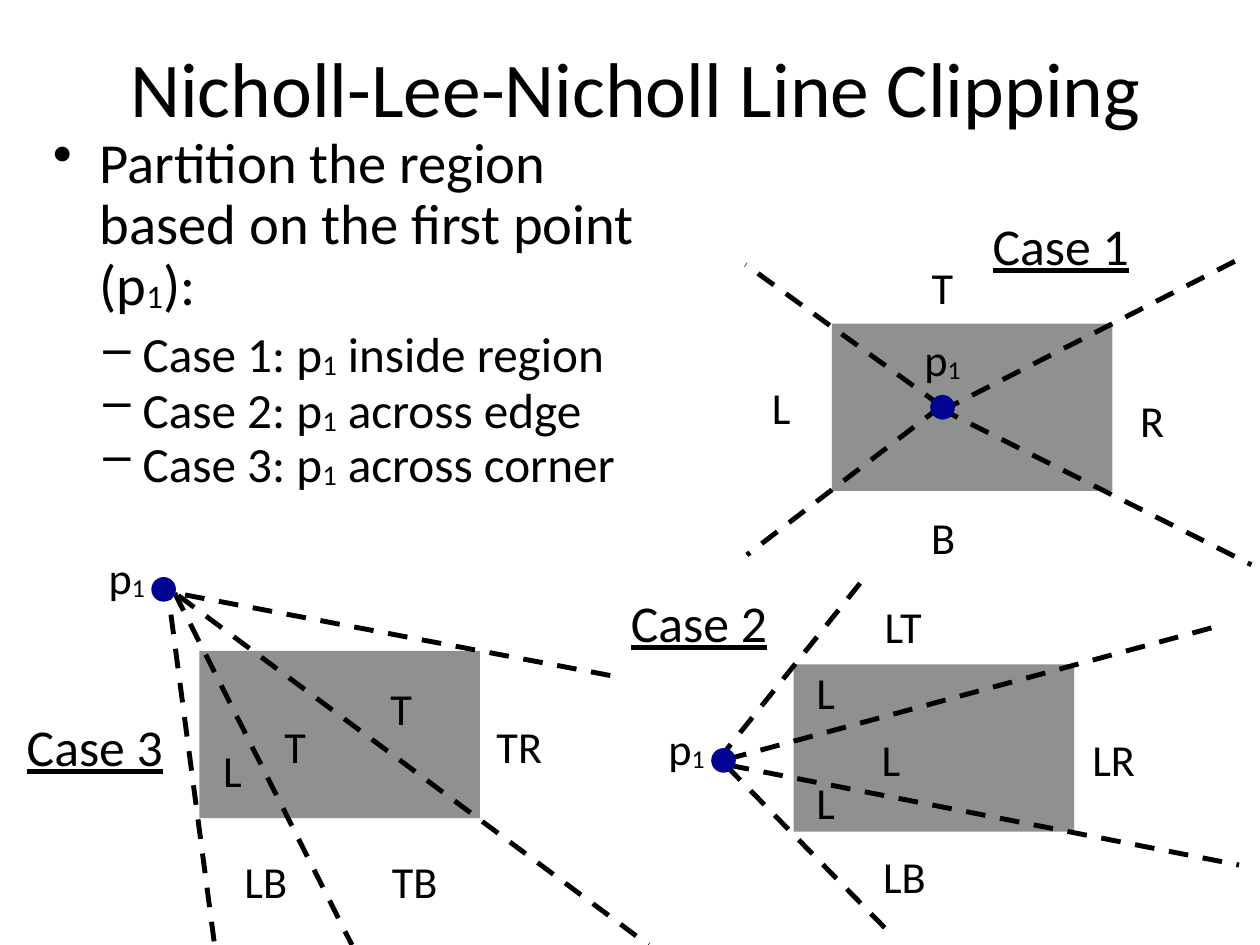
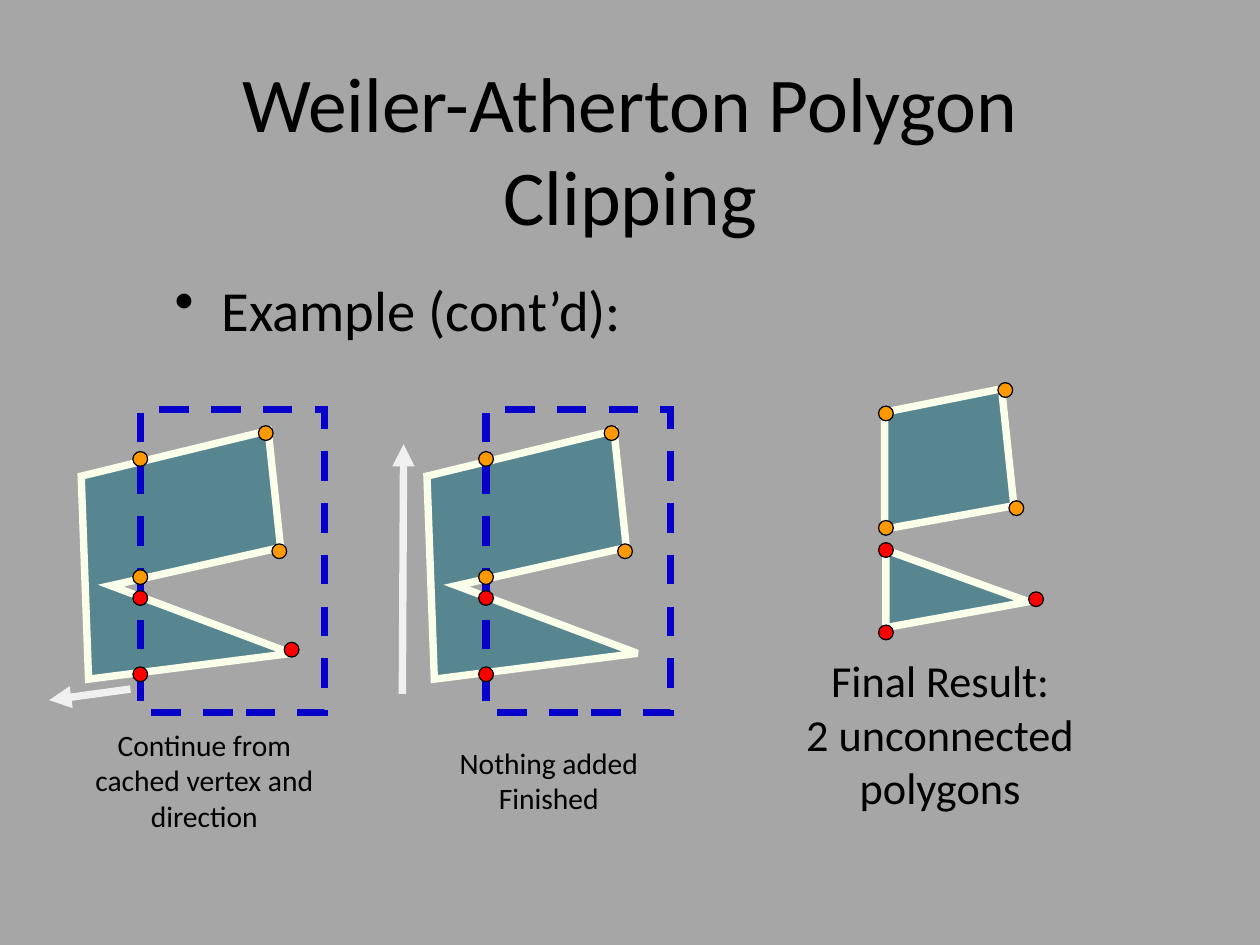
from lxml import etree
from pptx import Presentation
from pptx.dml.color import RGBColor
from pptx.enum.dml import MSO_LINE
from pptx.enum.shapes import MSO_CONNECTOR, MSO_SHAPE
from pptx.enum.text import MSO_ANCHOR, MSO_AUTO_SIZE, PP_ALIGN
from pptx.oxml.ns import qn
from pptx.util import Pt

# Shared style
FONT = "Calibri"
BLACK = RGBColor(0x00, 0x00, 0x00)
WHITE = RGBColor(0xFF, 0xFF, 0xFF)
GREY = RGBColor(0xA6, 0xA6, 0xA6)
REGION = RGBColor(0x8F, 0x91, 0x8E)
NAVY = RGBColor(0x00, 0x02, 0x91)
BLUE = RGBColor(0x07, 0x00, 0xCB)
TEAL = RGBColor(0x57, 0x86, 0x91)
IVORY = RGBColor(0xF9, 0xFF, 0xE8)
PALE = RGBColor(0xF0, 0xF0, 0xF0)
ORANGE = RGBColor(0xFF, 0x99, 0x00)
RED = RGBColor(0xFF, 0x00, 0x00)
TITLE_SIZE, LABEL_SIZE, CASE_SIZE, CAPTION_SIZE = 63, 36, 42, 24

# Bullet levels: character, size, left margin, hanging indent, space before
LEVELS = [("•", 46, 70, -38, 11.5), ("–", 40, 105, -32, 10)]

# Slide 1 content; text after a bar is a subscript, up to the next bar
PARTITION = [  # level, line spacing, text
    (0, 0.9, "Partition the region based on the first point (p|1|):"),
    (1, 0.9, "Case 1: p|1| inside region"),
    (1, 0.7, "Case 2: p|1| across edge"),
    (1, 0.7, "Case 3: p|1| across corner"),
]
REGION_SIZE = (228, 136)
CASES = [
    dict(name=("Case 1", 862, 199), region=(676, 263), point=(766, 331),
         rays=[(764, 332, 1017, 459), (765, 334, 1014, 207),
               (765, 330, 607, 451), (765, 330, 606, 215)],
         labels=[("L", 635, 331), ("T", 766, 233), ("R", 936, 341),
                 ("B", 766, 436), ("p|1", 766, 292)]),
    dict(name=("Case 2", 568, 505), region=(645, 540), point=(588, 618),
         rays=[(593, 622, 1007, 703), (591, 617, 993, 508),
               (719, 754, 586, 618), (699, 474, 585, 616)],
         labels=[("L", 724, 617), ("LT", 734, 509), ("LR", 905, 617),
                 ("LB", 735, 712), ("p|1", 558, 608), ("L", 671, 652),
                 ("L", 671, 562)]),
    dict(name=("Case 3", 77, 606), region=(162, 529), point=(133, 479),
         rays=[(145, 484, 527, 768), (142, 482, 286, 768),
               (174, 765, 137, 485), (496, 549, 132, 480)],
         labels=[("T", 240, 606), ("T", 326, 575), ("TR", 422, 606),
                 ("LB", 216, 716), ("p|1", 103, 469), ("L", 189, 626),
                 ("TB", 337, 716)]),
]

# Slide 2 content
SUBJECT = [(66, 387), (218, 350), (228, 445), (90, 476), (237, 531), (72, 552)]
WINDOW = (114, 333, 150, 246)
OUTER_VERTICES = [(114, 373), (216, 352), (227, 448), (114, 469)]
INNER_VERTICES = [(114, 486), (114, 548)]
LAST_VERTEX = (237, 528)
STEPS = [  # shift to the right, arrow, red vertices, caption
    (0, (106, 560, 40, 569), INNER_VERTICES + [LAST_VERTEX],
     ("Continue from\ncached vertex and\ndirection", 166, 634)),
    (281, (327, 564, 328, 361), INNER_VERTICES,
     ("Nothing added\nFinished", 446, 634)),
]
RESULTS = [  # outline, vertex colour, vertices
    ([(719, 430), (719, 335), (814, 316), (824, 411)], ORANGE,
     [(720, 336), (817, 317), (826, 413), (720, 429)]),
    ([(720, 510), (720, 447), (836, 489)], RED,
     [(720, 447), (842, 487), (720, 514)]),
]
RESULT_CAPTION = ("Final Result:\n2 unconnected\npolygons", 764, 596)


def write(p, text, size, underline=None):
    """Fill a paragraph, lowering every second part between bars."""
    for i, part in enumerate(text.split("|")):
        r = p.add_run()
        r.text = part
        r.font.name, r.font.size = FONT, Pt(size)
        r.font.color.rgb = BLACK
        r.font.underline = underline
        if i % 2:
            r.font._element.set("baseline", "-6000")


def set_margins(tf, across, down):
    tf.margin_left = tf.margin_right = Pt(across)
    tf.margin_top = tf.margin_bottom = Pt(down)


def new_slide(prs, back, title, box):
    s = prs.slides.add_slide(prs.slide_layouts[5])
    s.background.fill.solid()
    s.background.fill.fore_color.rgb = back
    sp = s.shapes.title
    sp.left, sp.top, sp.width, sp.height = map(Pt, box)
    tf = sp.text_frame
    tf.auto_size = MSO_AUTO_SIZE.NONE
    tf.vertical_anchor = MSO_ANCHOR.MIDDLE
    set_margins(tf, 10, 5)
    p = tf.paragraphs[0]
    p.alignment = PP_ALIGN.CENTER
    write(p, title, TITLE_SIZE)
    return s


def add_bullets(s, items, box):
    tf = s.shapes.add_textbox(*map(Pt, box)).text_frame
    tf.word_wrap = True
    set_margins(tf, 10, 5)
    for i, (level, spacing, text) in enumerate(items):
        char, size, margin, indent, before = LEVELS[level]
        p = tf.add_paragraph() if i else tf.paragraphs[0]
        pPr = p._p.get_or_add_pPr()
        pPr.set("marL", str(Pt(margin)))
        pPr.set("indent", str(Pt(indent)))
        etree.SubElement(pPr, qn("a:buChar")).set("char", char)
        p.level = level
        p.line_spacing = spacing
        if i:
            p.space_before = Pt(before)
        write(p, text, size)


def add_label(s, text, cx, cy, size=LABEL_SIZE, underline=None):
    """Centre unwrapped lines of text on a point."""
    lines = text.split("\n")
    w = 0.52 * size * max(map(len, lines))
    h = 1.2 * size * len(lines)
    tf = s.shapes.add_textbox(Pt(cx - w / 2), Pt(cy - h / 2), Pt(w), Pt(h)).text_frame
    tf.word_wrap = False
    tf.vertical_anchor = MSO_ANCHOR.MIDDLE
    set_margins(tf, 0, 0)
    for i, line in enumerate(lines):
        p = tf.add_paragraph() if i else tf.paragraphs[0]
        p.alignment = PP_ALIGN.CENTER
        write(p, line, size, underline)


def paint(sp, fill=None, line=None, width=1):
    sp.shadow.inherit = False
    if fill is None:
        sp.fill.background()
    else:
        sp.fill.solid()
        sp.fill.fore_color.rgb = fill
    if line is None:
        sp.line.fill.background()
    else:
        sp.line.color.rgb = line
        sp.line.width = Pt(width)


def sharpen(sp):
    """Give an outline pointed corners."""
    etree.SubElement(sp.line._get_or_add_ln(), qn("a:miter")).set("lim", "800000")


def add_rect(s, box):
    return s.shapes.add_shape(MSO_SHAPE.RECTANGLE, *map(Pt, box))


def add_dot(s, cx, cy, d, fill, line=None):
    sp = s.shapes.add_shape(MSO_SHAPE.OVAL, Pt(cx - d / 2), Pt(cy - d / 2), Pt(d), Pt(d))
    paint(sp, fill, line)


def add_vertices(s, points, fill, shift=0):
    for x, y in points:
        add_dot(s, x + shift, y, 12, fill, BLACK)


def add_line(s, ends, color, width, dash=None, arrow=False):
    c = s.shapes.add_connector(MSO_CONNECTOR.STRAIGHT, *map(Pt, ends))
    c.line.color.rgb = color
    c.line.width = Pt(width)
    if dash:
        c.line.dash_style = dash
    if arrow:
        etree.SubElement(c.line._get_or_add_ln(), qn("a:tailEnd")).set("type", "triangle")
    etree.SubElement(c._element.spPr, qn("a:effectLst"))


def add_polygon(s, points, shift=0):
    start, *rest = [(x + shift, y) for x, y in points]
    fb = s.shapes.build_freeform(*start, scale=Pt(1))
    fb.add_line_segments(rest, close=True)
    sp = fb.convert_to_shape()
    paint(sp, TEAL, IVORY, 6)
    sharpen(sp)


def build_partition(prs):
    s = new_slide(prs, WHITE, "Nicholl-Lee-Nicholl Line Clipping", (26, 20, 981, 100))
    add_bullets(s, PARTITION, (1, 104, 524, 450))
    for case in CASES:
        paint(add_rect(s, case["region"] + REGION_SIZE), REGION)
        for ray in case["rays"]:
            add_line(s, ray, BLACK, 4, MSO_LINE.DASH)
        add_dot(s, *case["point"], 20, NAVY)
        for label in case["labels"]:
            add_label(s, *label)
        add_label(s, *case["name"], CASE_SIZE, True)


def build_example(prs):
    s = new_slide(prs, GREY, "Weiler-Atherton Polygon Clipping", (100, 20, 824, 200))
    add_bullets(s, [(0, 1.0, "Example (cont’d):")], (100, 218, 824, 87))
    # Clipping steps
    for shift, arrow, red_vertices, caption in STEPS:
        add_polygon(s, SUBJECT, shift)
        x, *rest = WINDOW
        window = add_rect(s, (x + shift, *rest))
        paint(window, None, BLUE, 6)
        window.line.dash_style = MSO_LINE.DASH
        sharpen(window)
        add_line(s, arrow, PALE, 6, arrow=True)
        add_vertices(s, OUTER_VERTICES, ORANGE, shift)
        add_vertices(s, red_vertices, RED, shift)
        add_label(s, *caption, CAPTION_SIZE)
    # Final polygons
    for outline, color, vertices in RESULTS:
        add_polygon(s, outline)
        add_vertices(s, vertices, color)
    add_label(s, *RESULT_CAPTION)


def main():
    prs = Presentation()
    prs.slide_width, prs.slide_height = Pt(1024), Pt(768)
    build_partition(prs)
    build_example(prs)
    prs.save("out.pptx")


if __name__ == "__main__":
    main()
